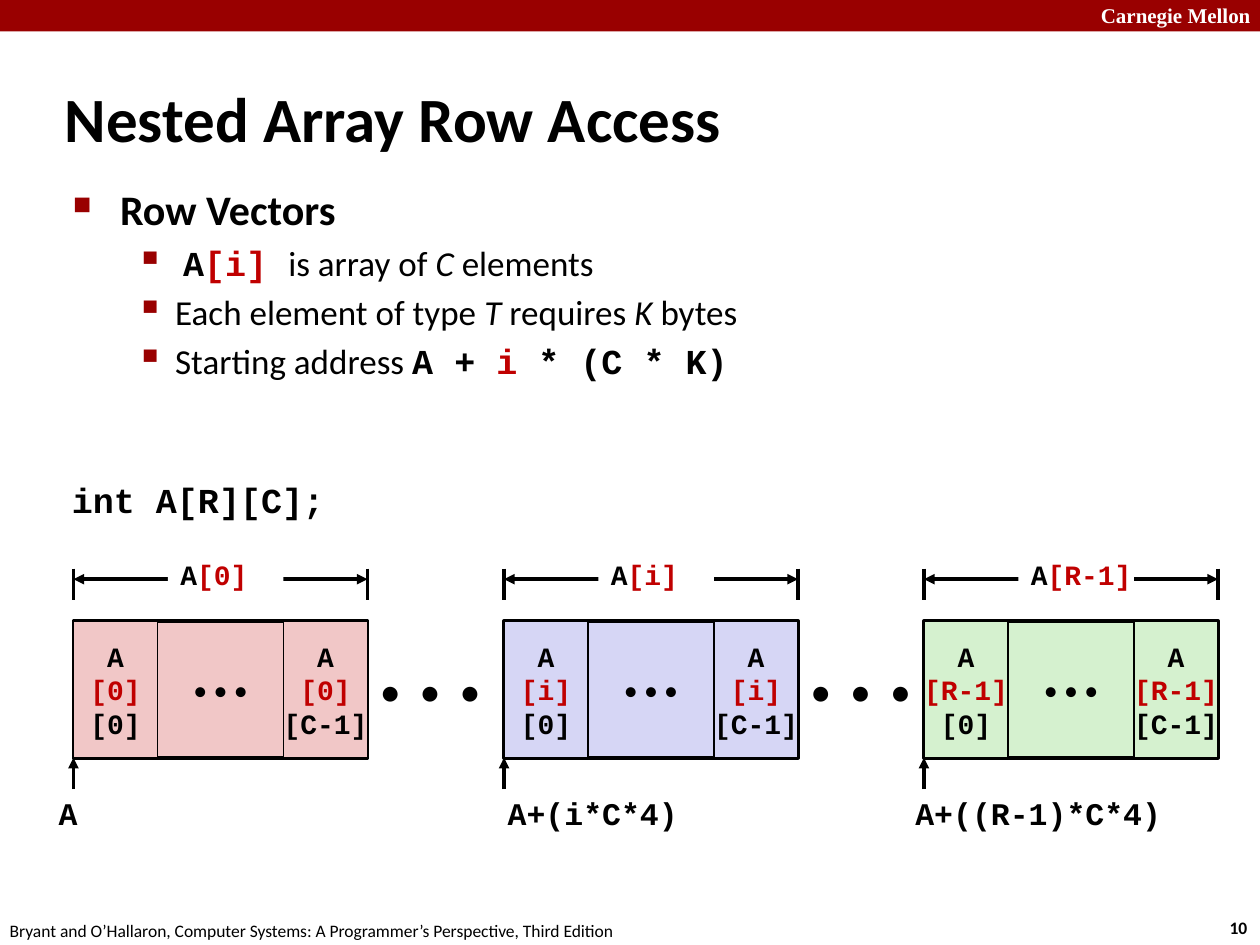
from lxml.etree import SubElement
from pptx import Presentation
from pptx.dml.color import RGBColor
from pptx.enum.shapes import MSO_CONNECTOR as Connector, MSO_SHAPE as Shape
from pptx.enum.text import MSO_ANCHOR as Anchor, PP_ALIGN as Align
from pptx.oxml.ns import qn
from pptx.util import Pt

COLORS = {
    "black": "000000", "white": "FFFFFF", "banner": "990000", "index": "C00000",
    "pink": "F1C7C7", "blue": "D6D6F5", "green": "D5F1CF",
}
SANS, CODE, SERIF = "Calibri", "Courier New", "Times New Roman"
ROW_TOP, ROW_WIDTH, ROW_HEIGHT, CELL_WIDTH = 355, 168, 78, 48
ROW_BOTTOM = ROW_TOP + ROW_HEIGHT
# left edge, index, fill, left and width of the address label, address
ROWS = [
    (42, "[0]", "pink", 26.5, 31, "A"),
    (288, "[i]", "blue", 283, 142.5, "A+(i*C*4)"),
    (528, "[R-1]", "green", 516, 180, "A+((R-1)*C*4)"),
]


def rgb(name):
    return RGBColor.from_string(COLORS[name])


def style(font, name=None, size=None, color=None, bold=None, italic=None):
    if name:
        font.name = name
    if size:
        font.size = Pt(size)
    if color:
        font.color.rgb = rgb(color)
    if bold is not None:
        font.bold = bold
    if italic is not None:
        font.italic = italic


def add_runs(paragraph, runs, **base):
    """Fill a paragraph; a run is a string or a (string, overrides) pair."""
    style(paragraph.font, **base)
    for item in runs:
        text, changes = (item, {}) if isinstance(item, str) else item
        run = paragraph.add_run()
        run.text = text
        style(run.font, **{**base, **changes})


def write(shape, lines, size, name=SANS, color="black", bold=False,
          align=Align.LEFT, anchor=Anchor.TOP, wrap=False):
    frame = shape.text_frame
    frame.word_wrap = wrap
    frame.vertical_anchor = anchor
    for number, runs in enumerate(lines):
        paragraph = frame.add_paragraph() if number else frame.paragraphs[0]
        paragraph.alignment = align
        add_runs(paragraph, runs, name=name, size=size, color=color, bold=bold)


def add_text(slide, left, top, width, height, runs, size, **options):
    box = slide.shapes.add_textbox(Pt(left), Pt(top), Pt(width), Pt(height))
    write(box, [runs], size, **options)


def add_box(slide, left, top, width, height, fill, line_width=0):
    shape = slide.shapes.add_shape(Shape.RECTANGLE, Pt(left), Pt(top), Pt(width), Pt(height))
    shape.shadow.inherit = False
    shape.fill.solid()
    shape.fill.fore_color.rgb = rgb(fill)
    if line_width:
        shape.line.color.rgb = rgb("black")
        shape.line.width = Pt(line_width)
    else:
        shape.line.fill.background()
    return shape


def add_line(slide, x1, y1, x2, y2, arrows=()):
    """Draw a line; arrows holds the ends, headEnd or tailEnd, that get a triangle."""
    line = slide.shapes.add_connector(Connector.STRAIGHT, Pt(x1), Pt(y1), Pt(x2), Pt(y2))
    line.line.color.rgb = rgb("black")
    line.line.width = Pt(2)
    outline = line.line._get_or_add_ln()
    for end in arrows:
        SubElement(outline, qn(f"a:{end}"), type="triangle")
    SubElement(line._element.spPr, qn("a:effectLst"))


def add_bullet(paragraph, char, percent, margin, indent):
    properties = paragraph._p.get_or_add_pPr()
    properties.set("marL", str(Pt(margin)))
    properties.set("indent", str(Pt(-indent)))
    color = SubElement(properties, qn("a:buClr"))
    SubElement(color, qn("a:srgbClr"), val=COLORS["banner"])
    SubElement(properties, qn("a:buSzPct"), val=str(percent * 1000))
    SubElement(properties, qn("a:buChar"), char=char)


def add_body(slide):
    code, code_index = {"name": CODE, "bold": True}, {"name": CODE, "bold": True, "color": "index"}
    italic = {"italic": True}
    points = [
        [" ", ("A", code), ("[i] ", code_index), "is array of ", ("C", italic), " elements"],
        ["Each element of type ", ("T ", italic), "requires ", ("K ", italic), "bytes"],
        ["Starting address ", ("A + ", code), ("i", code_index), (" * (C * K)", code)],
    ]
    box = slide.shapes.add_textbox(Pt(34.5), Pt(101.5), Pt(469.5), Pt(114.5))
    frame = box.text_frame
    frame.word_wrap = True
    heading = frame.paragraphs[0]
    add_bullet(heading, "■", 60, 27, 27)
    add_runs(heading, ["Row Vectors"], name=SANS, size=24, color="black", bold=True)
    for runs in points:
        paragraph = frame.add_paragraph()
        paragraph.level = 1
        add_bullet(paragraph, "▪", 110, 58.5, 22.5)
        paragraph.space_before = Pt(4)
        add_runs(paragraph, runs, name=SANS, size=20, color="black", bold=False)


def add_row(slide, left, index, fill, address_left, address_width, address):
    right = left + ROW_WIDTH
    row = add_box(slide, left, ROW_TOP, ROW_WIDTH, ROW_HEIGHT, fill, 2.25)
    write(row, [["• • •"]], 16, align=Align.CENTER, anchor=Anchor.MIDDLE)
    red_index = (index, {"color": "index"})
    for cell_left, column in ((left, "[0]"), (right - CELL_WIDTH, "[C-1]")):
        cell = add_box(slide, cell_left, ROW_TOP, CELL_WIDTH, ROW_HEIGHT, fill, 1)
        write(cell, [["A"], [red_index], [column]], 16, name=CODE, bold=True,
              align=Align.CENTER, anchor=Anchor.MIDDLE)
    for x in (left, right):
        add_line(slide, x, 325, x, 343)
    add_line(slide, left, 331, right, 331, ("headEnd", "tailEnd"))
    label = add_box(slide, left + 54, 313, 66, 30, "white")
    write(label, [["A", red_index]], 16, name=CODE, bold=True, anchor=Anchor.MIDDLE)
    add_line(slide, left, ROW_BOTTOM + 18, left, ROW_BOTTOM, ("tailEnd",))
    add_text(slide, address_left, 450, address_width, 29, [address], 18,
             name=CODE, bold=True, wrap=True)


def add_gap_dots(slide, left):
    box = add_box(slide, left, ROW_TOP, 78, ROW_HEIGHT, "white")
    write(box, [["•  •  •"]], 24, anchor=Anchor.MIDDLE)


def main():
    presentation = Presentation()
    presentation.slide_width, presentation.slide_height = Pt(720), Pt(540)
    slide = presentation.slides.add_slide(presentation.slide_layouts[6])

    add_box(slide, 0, 0, 720, 18, "banner")
    add_text(slide, 622, -2, 103, 22, ["Carnegie Mellon"], 12, name=SERIF,
             color="white", bold=True, wrap=True)
    add_text(slide, 695.5, 520.5, 26.5, 19.5, ["10"], 10, bold=True)
    add_text(slide, -1.5, 522, 366, 19.5,
             ["Bryant and O’Hallaron, Computer Systems: A Programmer’s Perspective, Third Edition"], 10)
    add_text(slide, 30, 44.5, 546, 45.5, ["Nested Array Row Access"], 36,
             bold=True, anchor=Anchor.MIDDLE, wrap=True)
    add_body(slide)
    add_text(slide, 34, 270, 158.5, 31, ["int A[R][C];"], 20, name=CODE, bold=True,
             align=Align.RIGHT)

    for left, *_ in ROWS[:-1]:
        add_gap_dots(slide, left + ROW_WIDTH)
    for row in ROWS:
        add_row(slide, *row)

    presentation.save("out.pptx")


if __name__ == "__main__":
    main()
